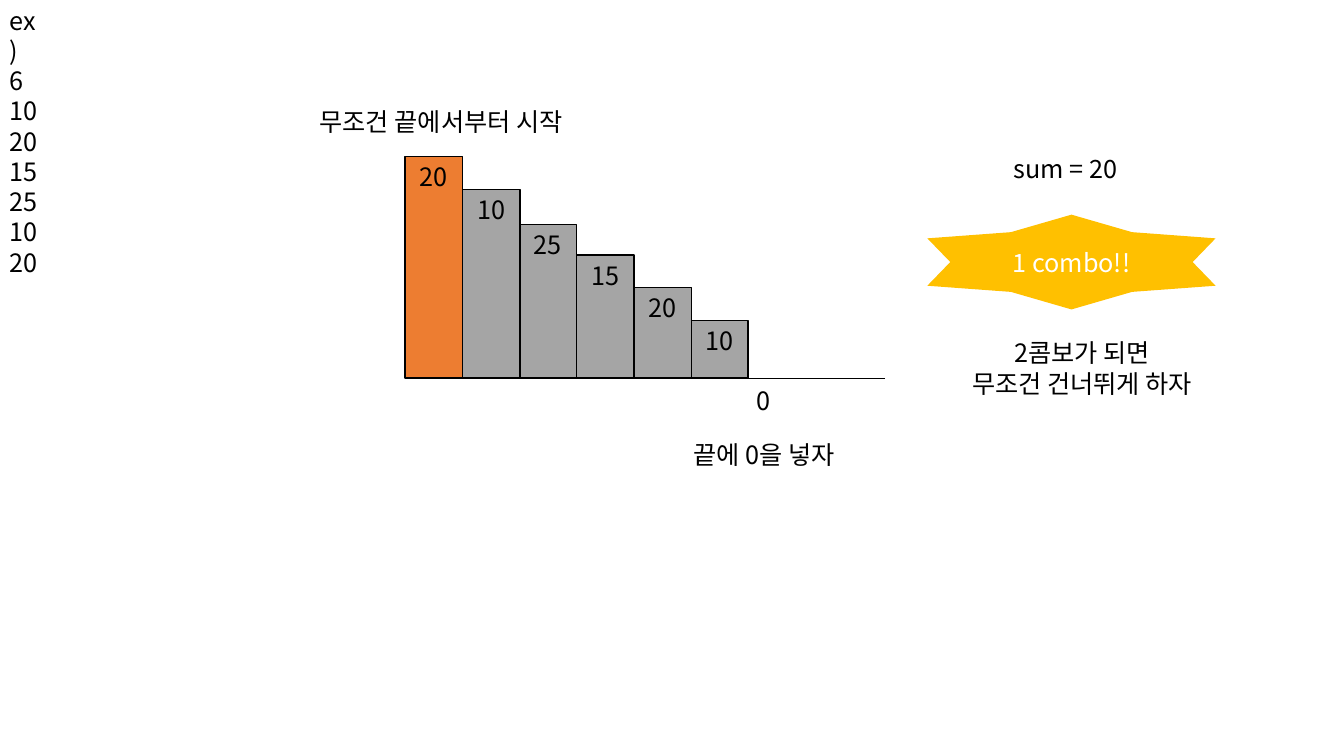
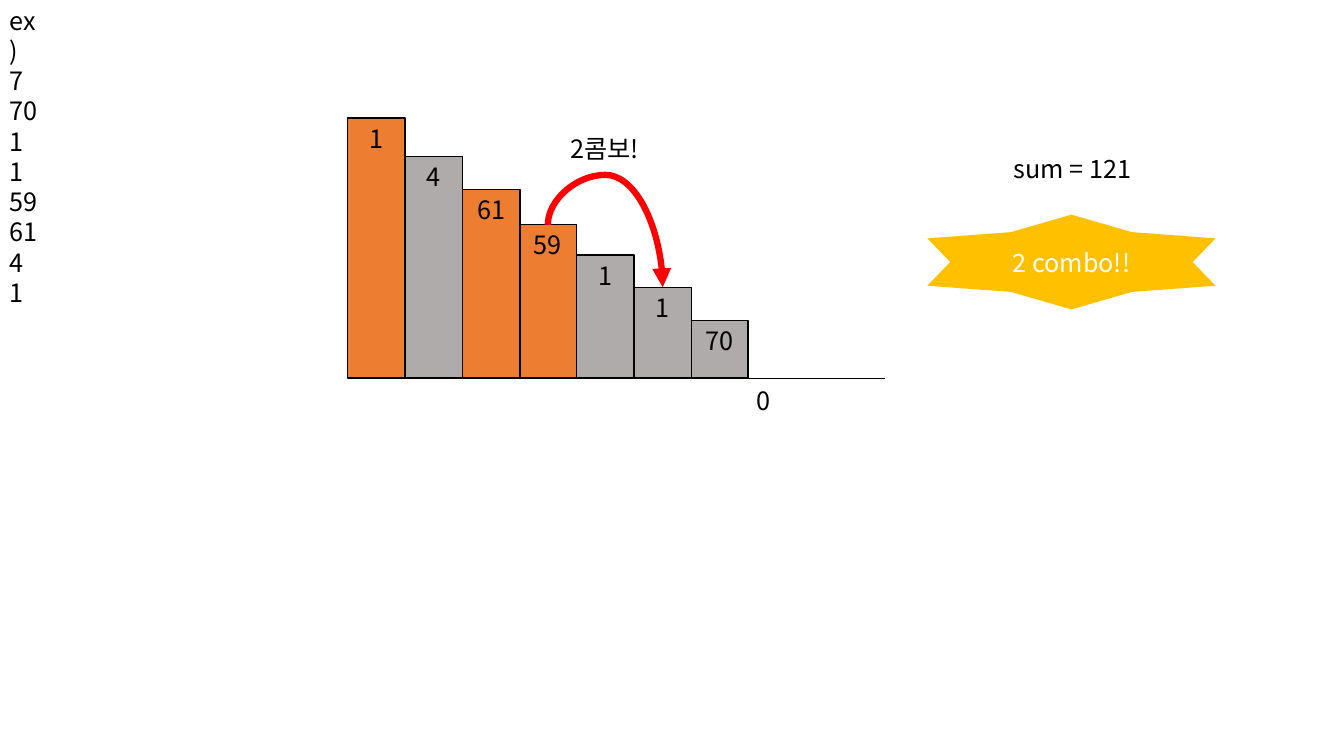
"""Builds two slides that explain the stair-climbing score problem."""
from lxml import etree
from pptx import Presentation
from pptx import util as u
from pptx.dml.color import RGBColor
from pptx.enum import shapes, text
from pptx.oxml import ns

PX = 9144
FONT = "Noto Sans CJK KR"
BLACK = RGBColor(0x00, 0x00, 0x00)
WHITE = RGBColor(0xFF, 0xFF, 0xFF)
ORANGE = RGBColor(0xED, 0x7D, 0x31)
GRAY = RGBColor(0xA5, 0xA5, 0xA5)
WARM_GRAY = RGBColor(0xAF, 0xAB, 0xAB)
GOLD = RGBColor(0xFF, 0xC0, 0x00)
RED = RGBColor(0xFF, 0x00, 0x00)
LEFT, CENTER = text.PP_ALIGN.LEFT, text.PP_ALIGN.CENTER
TOP, MIDDLE = text.MSO_ANCHOR.TOP, text.MSO_ANCHOR.MIDDLE
STEP_TOPS = (318, 285, 253, 223, 188, 155, 117)
STEP_PITCH = 170 / 3
STAIRS_RIGHT, FLOOR = 742, 375


def px(*lengths):
    return [u.Emu(round(length * PX)) for length in lengths]


class Deck:
    def __init__(self):
        self.presentation = Presentation()
        self.presentation.slide_width = u.Inches(13.333)
        self.presentation.slide_height = u.Inches(7.5)
        self.slide = None

    def new_slide(self):
        layout = self.presentation.slide_layouts[6]
        self.slide = self.presentation.slides.add_slide(layout)

    def set_text(self, shape, content, color=BLACK, align=LEFT, anchor=TOP):
        frame = shape.text_frame
        frame.text = content
        frame.word_wrap = True
        frame.vertical_anchor = anchor
        for paragraph in frame.paragraphs:
            paragraph.alignment = align
            paragraph.line_spacing = u.Pt(21.6)
            for run in paragraph.runs:
                run.font.name = FONT
                run.font.size = u.Pt(18)
                run.font.color.rgb = color
                properties = run.font._element
                etree.SubElement(properties, ns.qn("a:ea"), typeface=FONT)

    def label(self, left, top, width, height, content, align=LEFT):
        box = self.slide.shapes.add_textbox(*px(left, top, width, height))
        self.set_text(box, content, align=align)

    def shape(self, kind, left, top, width, height, fill):
        shape = self.slide.shapes.add_shape(kind, *px(left, top, width, height))
        shape.shadow.inherit = False
        shape.fill.solid()
        shape.fill.fore_color.rgb = fill
        return shape

    def step(self, index, value, fill):
        left = round(STAIRS_RIGHT - (index + 1) * STEP_PITCH)
        top = STEP_TOPS[index]
        step = self.shape(shapes.MSO_SHAPE.RECTANGLE, left, top, 57, FLOOR - top, fill)
        step.line.color.rgb = BLACK
        step.line.width = u.Pt(1)
        self.set_text(step, str(value), align=CENTER)
        return step

    def banner(self, content):
        star = self.shape(shapes.MSO_SHAPE.STAR_6_POINT, 920, 213, 286, 94, GOLD)
        star.adjustments[0] = 0.364
        star.line.fill.background()
        self.set_text(star, content, WHITE, CENTER, MIDDLE)

    def connector(self, kind, start, end, color, width):
        connector = self.slide.shapes.add_connector(kind, *px(*start, *end))
        connector.line.color.rgb = color
        connector.line.width = u.Pt(width)
        etree.SubElement(connector._element.spPr, ns.qn("a:effectLst"))
        return connector

    def jump(self, source, target):
        jump = self.connector(shapes.MSO_CONNECTOR.CURVE, (0, 0), (0, 0), RED, 4.5)
        jump.begin_connect(source, 0)
        jump.end_connect(target, 0)
        across, down = jump.width, jump.height
        jump.left += (across - down) // 2
        jump.top += (down - across) // 2
        jump.width, jump.height = down, across
        properties = jump._element.spPr
        frame = properties.find(ns.qn("a:xfrm"))
        frame.set("rot", "16200000")
        frame.set("flipH", "1")
        geometry = properties.find(ns.qn("a:prstGeom"))
        guides = geometry.find(ns.qn("a:avLst"))
        if guides is None:
            guides = etree.SubElement(geometry, ns.qn("a:avLst"))
        etree.SubElement(guides, ns.qn("a:gd"), name="adj1", fmla="val -79900")
        line = properties.find(ns.qn("a:ln"))
        etree.SubElement(line, ns.qn("a:tailEnd"), type="triangle")

    def stairs(self, values, chosen, gray, total, combo):
        self.new_slide()
        steps = [self.step(index, value, ORANGE if index in chosen else gray)
                 for index, value in enumerate(values)]
        self.connector(shapes.MSO_CONNECTOR.STRAIGHT, (878, FLOOR), (402, FLOOR), BLACK, 0.5)
        self.label(741, 377, 34, 40, "0")
        self.banner(f"{combo} combo!!")
        self.label(996, 147, 145, 40, f"sum = {total}")
        rows = ["ex)", len(values), *values]
        self.label(0, 0, 53, 10 + 30 * len(rows), "\n".join(map(str, rows)))
        return steps


def main():
    deck = Deck()
    deck.stairs([10, 20, 15, 25, 10, 20], {5}, GRAY, 20, 1)
    deck.label(288, 101, 299, 40, "무조건 끝에서부터 시작", CENTER)
    deck.label(669, 431, 178, 40, "끝에 0을 넣자", CENTER)
    deck.label(941, 330, 265, 71, "2콤보가 되면\n무조건 건너뛰게 하자", CENTER)

    steps = deck.stairs([70, 1, 1, 59, 61, 4, 1], {3, 4, 6}, WARM_GRAY, 121, 2)
    deck.jump(steps[3], steps[1])
    deck.label(556, 127, 92, 40, "2콤보!")
    deck.presentation.save("out.pptx")


if __name__ == "__main__":
    main()
